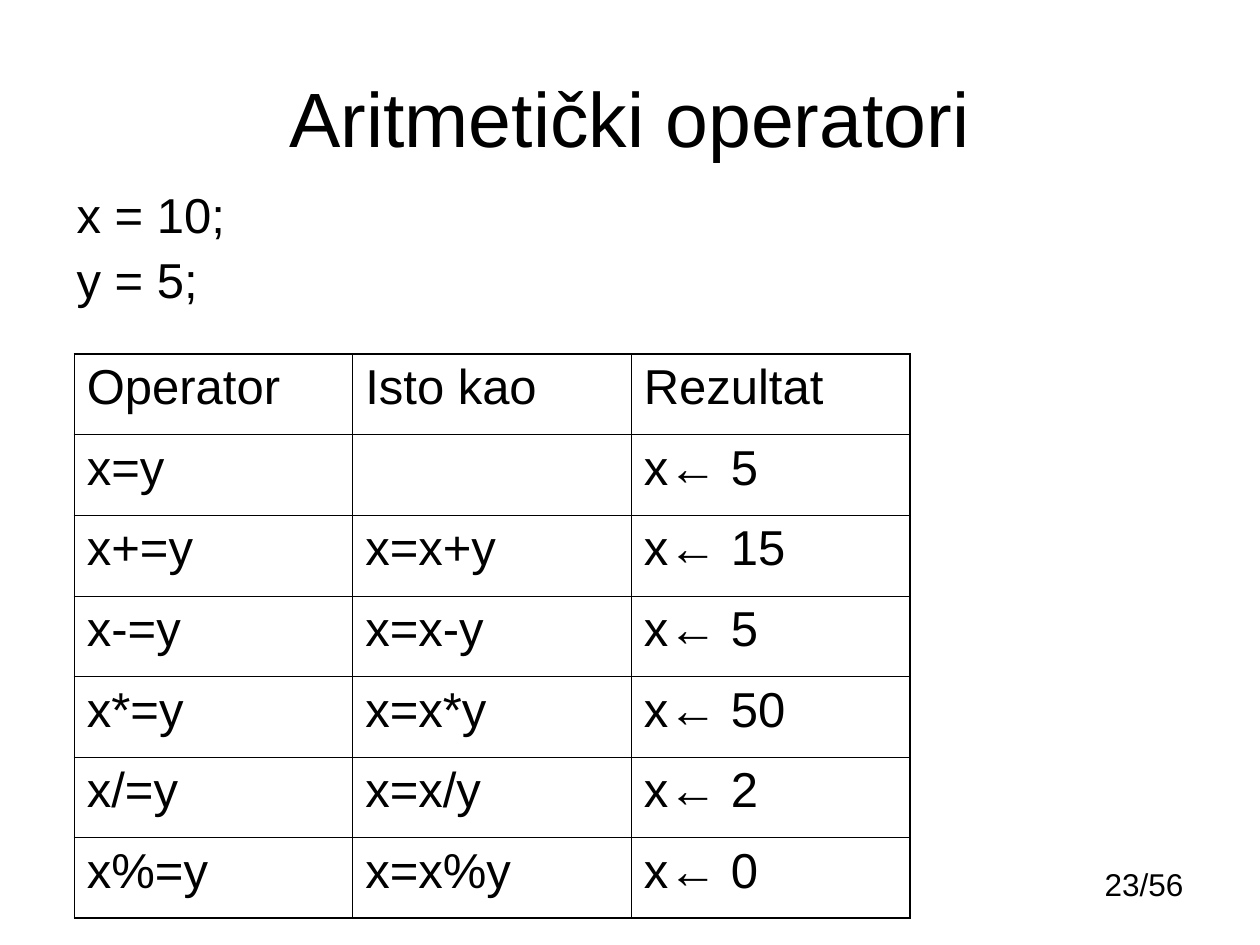
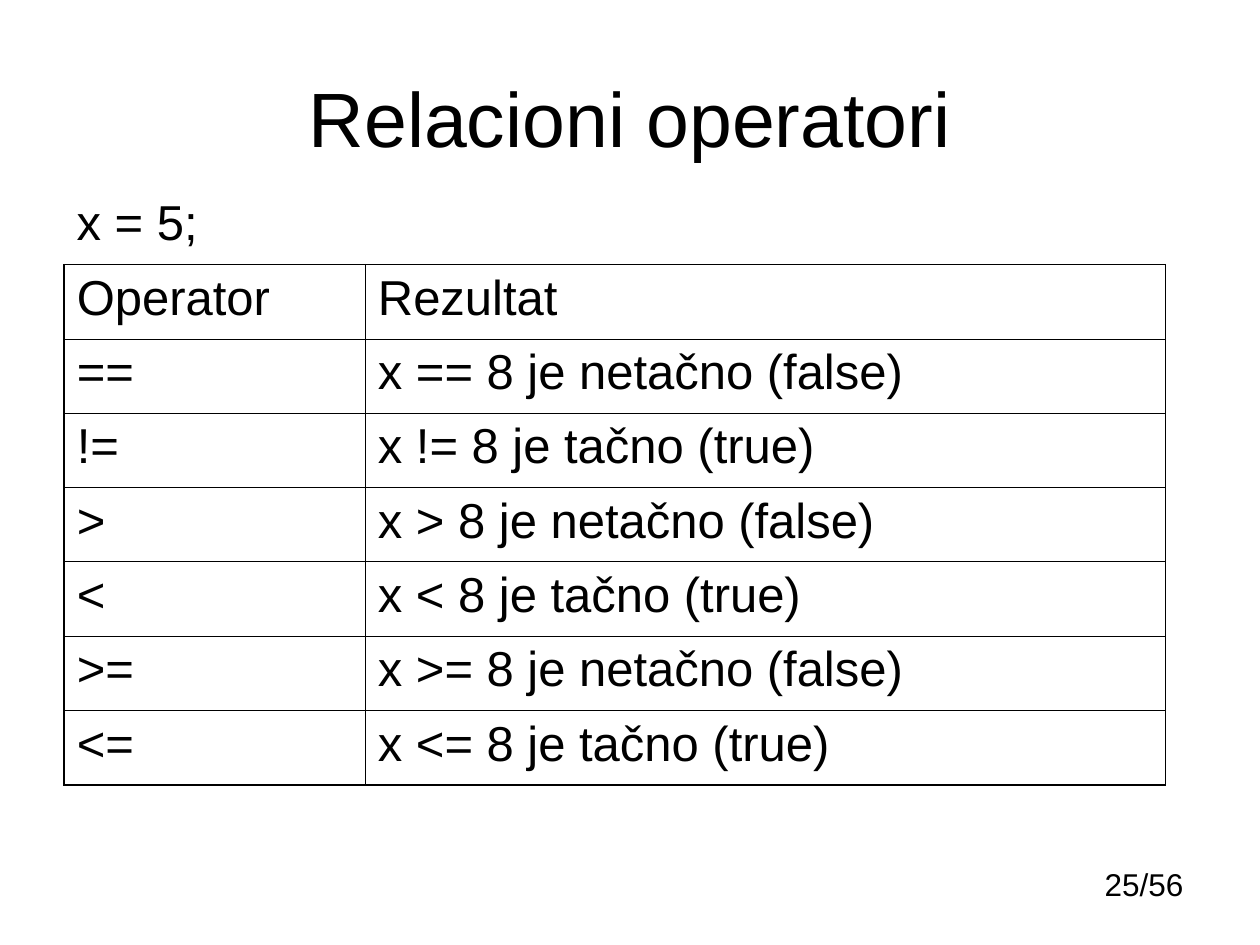
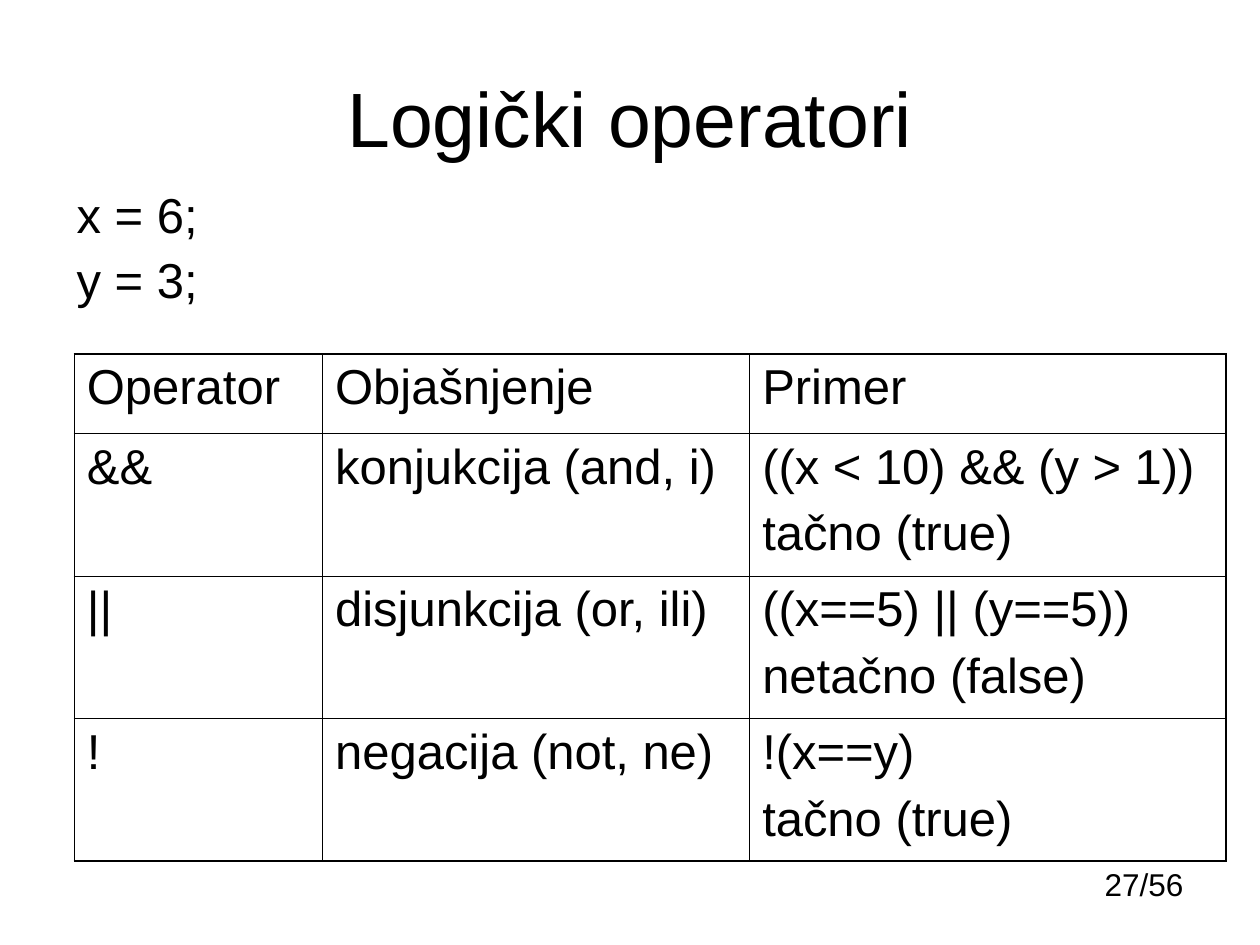
from lxml.etree import SubElement
from pptx import Presentation
from pptx.dml.color import RGBColor
from pptx.enum.text import MSO_ANCHOR, PP_ALIGN
from pptx.oxml.ns import qn
from pptx.util import Inches, Pt

BLACK = RGBColor(0x00, 0x00, 0x00)
WHITE = RGBColor(0xFF, 0xFF, 0xFF)
FONT = "Arial"
BODY_SIZE = 28
SPACE_BEFORE = 7
OUTER_LINE, INNER_LINE = 1.08, 0.45
PAGE_COUNT = 56

# Content: a line break inside a cell starts a new paragraph
SLIDES = [
    dict(
        number=23,
        title="Aritmetički operatori",
        code="x = 10;\ny = 5;",
        code_spacing=0.9,
        corner=(0.59, 2.81),
        columns=[2.21, 2.21, 2.21],
        heights=[0.64] * 7,
        rows=[
            ("Operator", "Isto kao", "Rezultat"),
            ("x=y", "", "x← 5"),
            ("x+=y", "x=x+y", "x← 15"),
            ("x-=y", "x=x-y", "x← 5"),
            ("x*=y", "x=x*y", "x← 50"),
            ("x/=y", "x=x/y", "x← 2"),
            ("x%=y", "x=x%y", "x← 0"),
        ],
    ),
    dict(
        number=25,
        title="Relacioni operatori",
        code="x = 5;",
        code_spacing=1.0,
        corner=(0.51, 2.1),
        columns=[2.39, 6.35],
        heights=[0.59] * 7,
        rows=[
            ("Operator", "Rezultat"),
            ("==", "x == 8 je netačno (false)"),
            ("!=", "x != 8 je tačno (true)"),
            (">", "x > 8 je netačno (false)"),
            ("<", "x < 8 je tačno (true)"),
            (">=", "x >= 8 je netačno (false)"),
            ("<=", "x <= 8 je tačno (true)"),
        ],
    ),
    dict(
        number=27,
        title="Logički operatori",
        code="x = 6;\ny = 3;",
        code_spacing=0.9,
        corner=(0.59, 2.81),
        columns=[1.97, 3.39, 3.78],
        heights=[0.63] + [1.13] * 3,
        rows=[
            ("Operator", "Objašnjenje", "Primer"),
            ("&&", "konjukcija (and, i)", "((x < 10) && (y > 1))\ntačno (true)"),
            ("||", "disjunkcija (or, ili)", "((x==5) || (y==5))\nnetačno (false)"),
            ("!", "negacija (not, ne)", "!(x==y)\ntačno (true)"),
        ],
    ),
]


def write(frame, text, size=BODY_SIZE, align=PP_ALIGN.LEFT, before=0, spacing=1.0):
    """Fill a text frame, one paragraph per line."""
    frame.word_wrap = True
    for index, line in enumerate(text.split("\n")):
        para = frame.add_paragraph() if index else frame.paragraphs[0]
        para.alignment = align
        para.space_before = Pt(before)
        para.line_spacing = spacing
        para.font.size = Pt(size)
        if line:
            span = para.add_run()
            span.text = line
            span.font.name = FONT
            span.font.size = Pt(size)
            span.font.color.rgb = BLACK


def add_text(page, place, text, anchor=MSO_ANCHOR.TOP, **text_format):
    box = page.shapes.add_textbox(*map(Inches, place))
    box.text_frame.vertical_anchor = anchor
    write(box.text_frame, text, **text_format)


def set_borders(cell, widths):
    """Draw the left, right, top and bottom edges, given in points."""
    properties = cell._tc.get_or_add_tcPr()
    for index, (side, width) in enumerate(zip("LRTB", widths)):
        line = SubElement(properties, qn(f"a:ln{side}"), w=str(Pt(width)))
        fill = SubElement(line, qn("a:solidFill"))
        SubElement(fill, qn("a:srgbClr"), val=str(BLACK))
        properties.insert(index, line)


def add_operator_table(page, corner, columns, heights, rows):
    size = (sum(columns), sum(heights))
    table = page.shapes.add_table(
        len(rows), len(columns), *map(Inches, corner + size)).table
    table.first_row = table.horz_banding = False
    for column, width in zip(table.columns, columns):
        column.width = Inches(width)
    for row, height in zip(table.rows, heights):
        row.height = Inches(height)

    last_row, last_column = len(rows) - 1, len(columns) - 1
    for r, row in enumerate(rows):
        for c, text in enumerate(row):
            cell = table.cell(r, c)
            cell.fill.background()
            write(cell.text_frame, text, before=SPACE_BEFORE)
            on_edge = (c == 0, c == last_column, r == 0, r == last_row)
            set_borders(cell, [OUTER_LINE if edge else INNER_LINE for edge in on_edge])


def add_operator_slide(deck, content):
    page = deck.slides.add_slide(deck.slide_layouts[6])
    page.background.fill.solid()
    page.background.fill.fore_color.rgb = WHITE
    # Page number, title and starting values
    add_text(page, (7.6, 6.82, 1.89, 0.4), f"{content['number']}/{PAGE_COUNT}",
             size=18, align=PP_ALIGN.RIGHT)
    add_text(page, (0.5, 0.3, 9, 1.25), content["title"],
             anchor=MSO_ANCHOR.MIDDLE, size=44, align=PP_ALIGN.CENTER)
    add_text(page, (0.51, 1.47, 4.42, 1.06), content["code"],
             before=SPACE_BEFORE, spacing=content["code_spacing"])
    # Operators
    add_operator_table(page, content["corner"], content["columns"],
                       content["heights"], content["rows"])


def main():
    deck = Presentation()
    deck.slide_width, deck.slide_height = Inches(10), Inches(7.5)
    for content in SLIDES:
        add_operator_slide(deck, content)
    deck.save("out.pptx")


if __name__ == "__main__":
    main()
